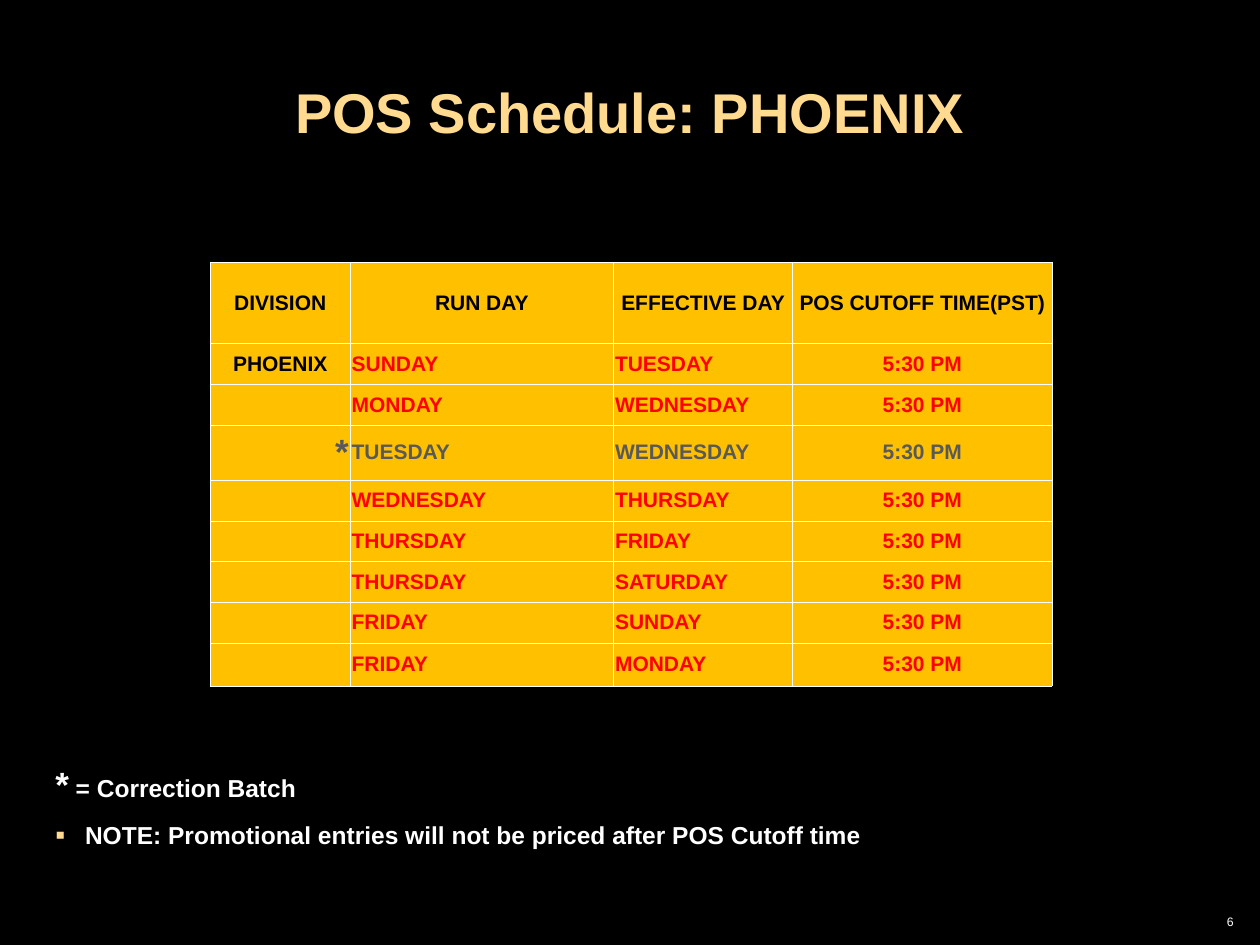
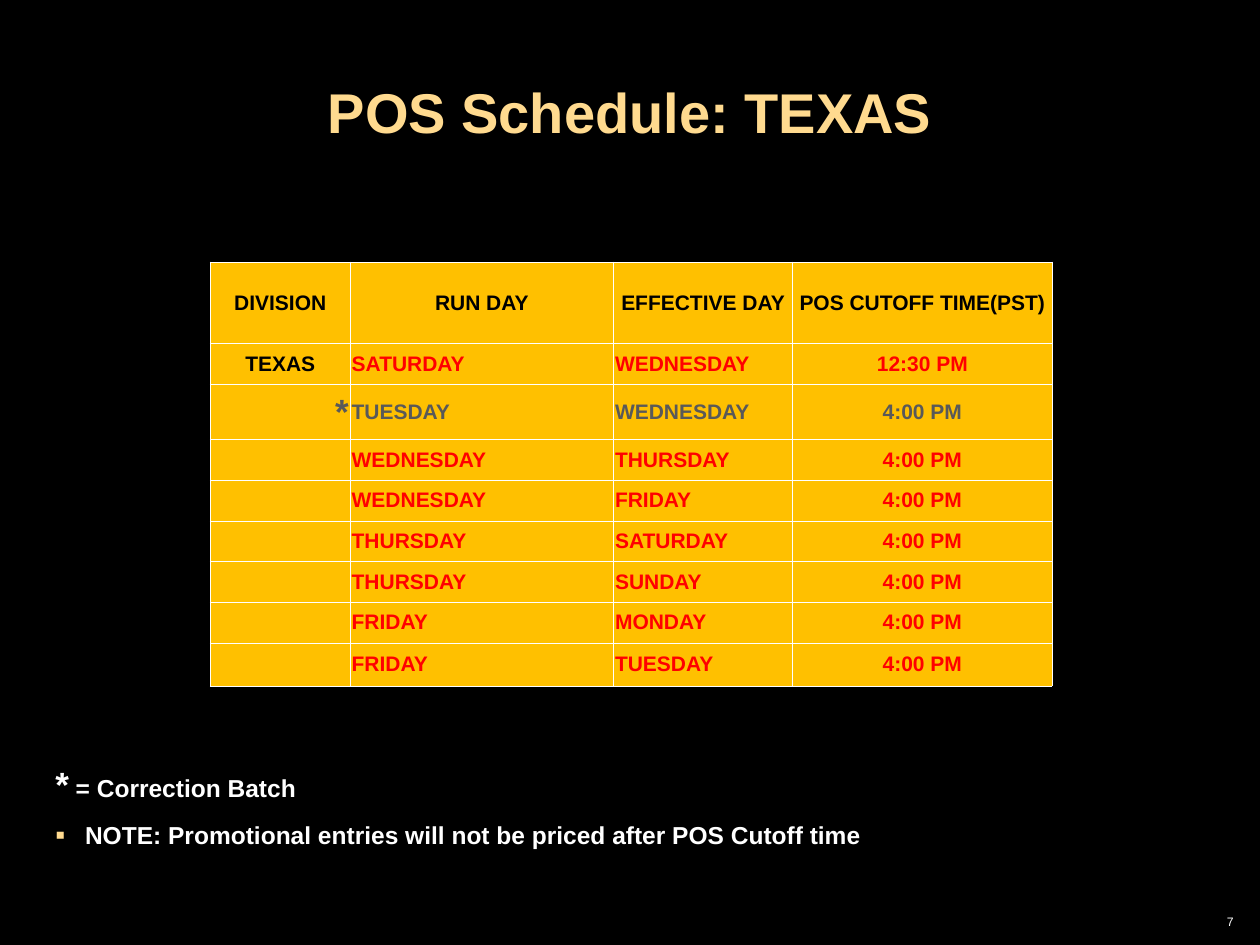
import pptx
import pptx.dml.color
import pptx.enum.text
import pptx.oxml.ns
import pptx.util
from lxml import etree

Cm, Pt = pptx.util.Cm, pptx.util.Pt
ALIGN = pptx.enum.text.PP_ALIGN
ANCHOR = pptx.enum.text.MSO_ANCHOR

# Content
HEADINGS = ["DIVISION", "RUN DAY", "EFFECTIVE DAY", "POS CUTOFF TIME(PST)"]
CORRECTION_MARK = "*"
LEGEND = " = Correction Batch"
NOTE = "NOTE: Promotional entries will not be priced after POS Cutoff time"
SCHEDULES = [
    {"division": "PHOENIX", "page": 6, "correction": 3, "runs": [
        ("SUNDAY", "TUESDAY", "5:30 PM"),
        ("MONDAY", "WEDNESDAY", "5:30 PM"),
        ("TUESDAY", "WEDNESDAY", "5:30 PM"),
        ("WEDNESDAY", "THURSDAY", "5:30 PM"),
        ("THURSDAY", "FRIDAY", "5:30 PM"),
        ("THURSDAY", "SATURDAY", "5:30 PM"),
        ("FRIDAY", "SUNDAY", "5:30 PM"),
        ("FRIDAY", "MONDAY", "5:30 PM"),
    ]},
    {"division": "TEXAS", "page": 7, "correction": 2, "runs": [
        ("SATURDAY", "WEDNESDAY", "12:30 PM"),
        ("TUESDAY", "WEDNESDAY", "4:00 PM"),
        ("WEDNESDAY", "THURSDAY", "4:00 PM"),
        ("WEDNESDAY", "FRIDAY", "4:00 PM"),
        ("THURSDAY", "SATURDAY", "4:00 PM"),
        ("THURSDAY", "SUNDAY", "4:00 PM"),
        ("FRIDAY", "MONDAY", "4:00 PM"),
        ("FRIDAY", "TUESDAY", "4:00 PM"),
    ]},
]

# Shared style
FONT = "Arial"
BLACK, WHITE, CREAM, GOLD = "000000", "FFFFFF", "FFDA8F", "FFC000"
RED, GREY = "FF0000", "595959"

# Layout, in centimetres: left, top, width, height
TITLE_BOX = (0.33, 1.6, 24.74, 1.47)
NOTES_BOX = (0.86, 15.24, 23.65, 2.11)
PAGE_BOX = (19.84, 18.31, 5.28, 0.74)
TABLE_LEFT, TABLE_TOP = 4.24, 5.28
COLUMN_WIDTHS = [2.82, 5.31, 3.61, 5.23]
HEADING_HEIGHT, RUN_HEIGHT, CORRECTION_HEIGHT, LAST_HEIGHT = 1.65, 0.82, 1.11, 0.87
BULLET_INDENT = 0.6


def color(value):
    return pptx.dml.color.RGBColor.from_string(value)


def box(values):
    return [Cm(value) for value in values]


def place(shape, values):
    shape.left, shape.top, shape.width, shape.height = box(values)
    shape.text_frame.auto_size = pptx.enum.text.MSO_AUTO_SIZE.NONE
    shape.text_frame.word_wrap = True


def add_text(paragraph, text, size, fill, bold=True):
    run = paragraph.add_run()
    run.text = text
    run.font.name, run.font.size, run.font.bold = FONT, Pt(size), bold
    run.font.color.rgb = color(fill)


def add_xml(parent, tag, **attributes):
    return etree.SubElement(parent, pptx.oxml.ns.qn(tag), attributes)


def add_title(slide, division):
    title = slide.shapes.title
    place(title, TITLE_BOX)
    title.text_frame.vertical_anchor = ANCHOR.BOTTOM
    heading = title.text_frame.paragraphs[0]
    heading.alignment, heading.line_spacing = ALIGN.CENTER, 0.9
    add_text(heading, f"POS Schedule: {division}", 32, CREAM)


def fill_cell(cell, text, size, ink, alignment):
    cell.margin_left = cell.margin_right = Cm(0.03)
    cell.margin_top = cell.margin_bottom = Cm(0.13)
    cell.vertical_anchor = ANCHOR.MIDDLE
    properties = cell._tc.get_or_add_tcPr()
    for side in ("a:lnL", "a:lnR", "a:lnT", "a:lnB"):
        border = add_xml(properties, side, w=str(Pt(0.45)))
        add_xml(add_xml(border, "a:solidFill"), "a:srgbClr", val=WHITE)
    cell.fill.solid()
    cell.fill.fore_color.rgb = color(GOLD)
    paragraph = cell.text_frame.paragraphs[0]
    paragraph.alignment = alignment
    if text:
        add_text(paragraph, text, size, ink)
    else:
        # Keeps an empty cell from stretching its row
        add_xml(paragraph._p, "a:endParaRPr", sz=str(size * 100))


def add_schedule(slide, schedule):
    runs, correction = schedule["runs"], schedule["correction"]
    heights = [HEADING_HEIGHT] + [RUN_HEIGHT] * (len(runs) - 1) + [LAST_HEIGHT]
    heights[correction] = CORRECTION_HEIGHT
    frame = slide.shapes.add_table(
        len(heights), len(HEADINGS),
        *box((TABLE_LEFT, TABLE_TOP, sum(COLUMN_WIDTHS), sum(heights))))
    table = frame.table
    table.first_row = table.horz_banding = False
    for column, width in zip(table.columns, COLUMN_WIDTHS):
        column.width = Cm(width)
    for row, height in zip(table.rows, heights):
        row.height = Cm(height)

    for column, heading in enumerate(HEADINGS):
        fill_cell(table.cell(0, column), heading, 12, BLACK, ALIGN.CENTER)
    for row, run in enumerate(runs, 1):
        if row == correction:
            label, ink = (CORRECTION_MARK, 20, GREY, ALIGN.RIGHT), GREY
        else:
            division = schedule["division"] if row == 1 else ""
            label, ink = (division, 12, BLACK, ALIGN.CENTER), RED
        fill_cell(table.cell(row, 0), *label)
        for column, (text, alignment) in enumerate(
                zip(run, (ALIGN.LEFT, ALIGN.LEFT, ALIGN.CENTER)), 1):
            fill_cell(table.cell(row, column), text, 12, ink, alignment)


def add_notes(slide):
    notes = slide.placeholders[1]
    place(notes, NOTES_BOX)
    legend = notes.text_frame.paragraphs[0]
    properties = legend._p.get_or_add_pPr()
    properties.set("marL", "0")
    properties.set("indent", "0")
    add_xml(properties, "a:buNone")
    legend.space_before = Pt(0)
    add_text(legend, CORRECTION_MARK, 20, WHITE)
    add_text(legend, LEGEND, 14, WHITE)

    note = notes.text_frame.add_paragraph()
    properties = note._p.get_or_add_pPr()
    properties.set("marL", str(Cm(BULLET_INDENT)))
    properties.set("indent", str(-Cm(BULLET_INDENT)))
    add_xml(add_xml(properties, "a:buClr"), "a:srgbClr", val=CREAM)
    add_xml(properties, "a:buSzPct", val="115000")
    add_xml(properties, "a:buFont", typeface=FONT)
    add_xml(properties, "a:buChar", char="▪")
    note.space_before = Pt(8.8)
    add_text(note, NOTE, 14, WHITE)


def add_page_number(slide, page):
    footer = slide.shapes.add_textbox(*box(PAGE_BOX))
    footer.text_frame.word_wrap = True
    number = footer.text_frame.paragraphs[0]
    number.alignment = ALIGN.RIGHT
    add_text(number, str(page), 7, WHITE, bold=False)


def main():
    deck = pptx.Presentation()
    deck.slide_width, deck.slide_height = Cm(25.4), Cm(19.05)
    background = deck.slide_master.background.fill
    background.solid()
    background.fore_color.rgb = color(BLACK)
    for schedule in SCHEDULES:
        slide = deck.slides.add_slide(deck.slide_layouts[1])
        add_title(slide, schedule["division"])
        add_schedule(slide, schedule)
        add_notes(slide)
        add_page_number(slide, schedule["page"])
    deck.save("out.pptx")


if __name__ == "__main__":
    main()
